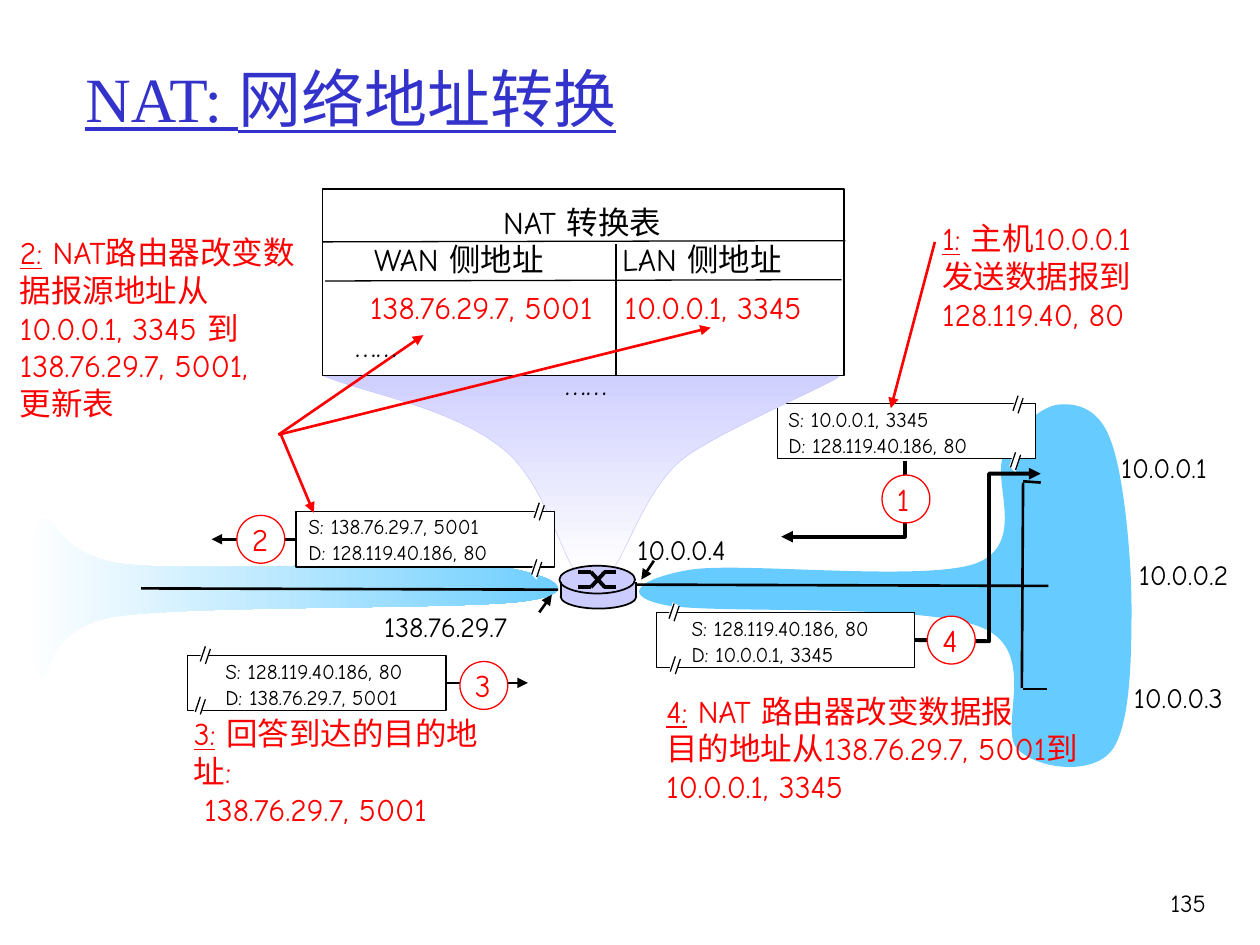
from lxml import etree
from pptx import Presentation
from pptx.dml.color import RGBColor
from pptx.enum.shapes import MSO_CONNECTOR, MSO_SHAPE
from pptx.enum.text import MSO_ANCHOR, PP_ALIGN
from pptx.oxml.ns import qn
from pptx.util import Pt

PX = 9144  # 100 px to the inch
STRAIGHT = MSO_CONNECTOR.STRAIGHT
RECT, OVAL = MSO_SHAPE.RECTANGLE, MSO_SHAPE.OVAL
LEFT, CENTER, RIGHT = PP_ALIGN.LEFT, PP_ALIGN.CENTER, PP_ALIGN.RIGHT
COMIC, TIMES = "Comic Neue", "Times New Roman"
HEX = {"black": "000000", "white": "FFFFFF", "red": "FF0000",
       "title": "3333CC", "sky": "66CCFF", "lilac": "CCCCFF"}
RGB = {name: RGBColor.from_string(value) for name, value in HEX.items()}

prs = Presentation()
prs.slide_width, prs.slide_height = 1000 * PX, 750 * PX
slide = prs.slides.add_slide(prs.slide_layouts[6])
shapes = slide.shapes


def add_line(points, color="black", width=1.5, arrow=False):
    """Draw a connector, or an open outline for more than two points; the arrow is at the end."""
    pts = [(x * PX, y * PX) for x, y in points]
    if len(pts) == 2:
        s = shapes.add_connector(STRAIGHT, *pts[0], *pts[1])
    else:
        builder = shapes.build_freeform(*pts[0])
        builder.add_line_segments(pts[1:], close=False)
        s = builder.convert_to_shape()
        s.fill.background()
    s.line.color.rgb = RGB[color]
    s.line.width = Pt(width)
    sp_pr = s._element.spPr
    if arrow:
        etree.SubElement(sp_pr.find(qn("a:ln")), qn("a:tailEnd"), type="triangle")
    etree.SubElement(sp_pr, qn("a:effectLst"))
    return s


def add_outline(start, segments, colors, angle=0):
    """Fill a closed outline; a segment is a point, or two control points and an end point."""
    builder = shapes.build_freeform(start[0] * PX, start[1] * PX)
    for seg in segments:
        builder.add_line_segments([(x * PX, y * PX) for x, y in zip(seg[::2], seg[1::2])],
                                  close=seg is segments[-1])
    s = builder.convert_to_shape()
    steps = iter(list(s._element.iter(qn("a:lnTo"))))
    for seg in segments:
        first = next(steps)
        if len(seg) == 6:  # three line steps become one curve
            first.tag = qn("a:cubicBezTo")
            for step in (next(steps), next(steps)):
                first.append(step[0])
                step.getparent().remove(step)
    s.shadow.inherit = False
    s.line.fill.background()
    if len(colors) == 1:
        s.fill.solid()
        s.fill.fore_color.rgb = RGB[colors[0]]
    else:
        s.fill.gradient()
        s.fill.gradient_angle = angle
        for stop, color in zip(s.fill.gradient_stops, colors):
            stop.color.rgb = RGB[color]
    return s


# Networks on both sides of the router
add_outline((392, 449), [
    (339, 444, 162, 454, 102, 448), (42, 443, 43, 399, 31, 414),
    (20, 428, 21, 522, 31, 535), (42, 548, 29, 499, 93, 489),
    (158, 480, 368, 484, 417, 477), (467, 470, 436, 455, 392, 449)], ["white", "sky"])
add_outline((549, 452), [
    (591, 446, 734, 462, 775, 447), (816, 431, 786, 381, 797, 360),
    (807, 339, 827, 322, 841, 321), (855, 320, 873, 324, 882, 351),
    (892, 378, 898, 442, 898, 483), (898, 524, 897, 577, 882, 596),
    (867, 615, 825, 611, 808, 595), (791, 579, 826, 517, 779, 498),
    (732, 478, 565, 488, 527, 480), (489, 472, 511, 458, 549, 452)], ["sky"])
for ends in (((501, 464), (832, 465)), ((812, 383), (811, 546)),
             ((812, 382), (826, 383)), ((812, 547), (831, 547))):
    add_line(ends)

# Packets: number, box, breaks in the border, circle, route, side the route leaves from
packets = [
    ("1", (617, 320), [(803, 313), (801, 358)], (700, 377),
     [(718, 366), (718, 426), (620, 426)], None),
    ("4", (521, 486), [(530, 478), (531, 520)], (736, 489),
     [(726, 508), (785, 509), (785, 376), (826, 376)], None),
    ("2", (235, 406), [(423, 398), (421, 443)], (188, 409), [(235, 428), (168, 428)], 1),
    ("3", (149, 520), [(158, 512), (154, 552)], (365, 525), [(354, 542), (419, 542)], 3),
]
for number, (x, y), breaks, (cx, cy), route, side in packets:
    box = shapes.add_shape(RECT, x * PX, y * PX, 205 * PX, 44 * PX)
    for bx, by in breaks:
        add_outline((bx + 4, by), [(bx, by + 12), (bx + 5, by + 17), (bx + 9, by + 3)], ["white"])
        for dx, dy in ((5, 1), (9, 3)):
            add_line([(bx + dx, by + dy), (bx + dx - 4, by + dy + 12)], width=0.75)
    s = add_line(route, width=1.5 if side else 2.25, arrow=True)
    if side:
        s.begin_connect(box, side)
    circle = shapes.add_shape(OVAL, cx * PX, cy * PX, 38 * PX, 38 * PX)
    for s, color in ((box, "black"), (circle, "red")):
        s.shadow.inherit = False
        s.fill.solid()
        s.fill.fore_color.rgb = RGB["white"]
        s.line.color.rgb = RGB[color]
        s.line.width = Pt(0.75)
    if number == "1":  # the funnel lies over this packet and under the others
        funnel = add_outline((256, 298), [
            (256, 298, 617, 287, 665, 298), (679, 297, 571, 341, 541, 365),
            (511, 390, 497, 441, 484, 455), (458, 455),
            (444, 438, 432, 382, 399, 356), (358, 323, 289, 312, 256, 298)],
            ["lilac", "white"], 270)
        funnel.line.color.rgb = RGB["lilac"]
        funnel.line.width = Pt(0.25)

# Translation table frame and router body
for kind, x, y, w, h, fill, width in (
        (RECT, 256, 150, 414, 148, "white", 0.75), (OVAL, 445, 464, 60, 19, "lilac", 1),
        (RECT, 445, 462, 60, 11, "lilac", 0), (OVAL, 444, 449, 60, 22, "lilac", 1)):
    s = shapes.add_shape(kind, x * PX, y * PX, w * PX, h * PX)
    s.shadow.inherit = False
    s.fill.solid()
    s.fill.fore_color.rgb = RGB[fill]
    if width:
        s.line.color.rgb = RGB["black"]
        s.line.width = Pt(width)
    else:
        s.line.fill.background()

for ends in (((256, 192), (671, 191)), ((258, 223), (668, 222)), ((489, 194), (489, 298))):
    add_line(ends, width=0.75)
for x in (445, 505):
    add_line([(x, 462), (x, 474)], width=1)
for y, across in ((454, 466), (466, 454)):
    add_line([(459, y), (469, y)], width=2.25)
    add_line([(469, y), (480, across)], width=2.25)
    add_line([(479, y), (489, y)], width=2.25)
add_line([(112, 467), (443, 468)])

# Pointers
for ends in (((519, 445), (509, 460)), ((428, 486), (438, 472))):
    add_line(ends, arrow=True)
for ends in (((742, 192), (707, 324)), ((223, 345), (249, 407)),
             ((221, 345), (336, 266)), ((221, 345), (564, 260))):
    add_line(ends, "red", arrow=True)

# Texts: box, size, colour, alignment, paragraphs, tab stops
# A pair is an underlined lead and the rest; tabbed rows are left-aligned
texts = [
    ((58, 25, 850, 104), 36, "title", LEFT, [("NAT: 网络地址转换", "")]),
    ((880, 353, 98, 37), 16, "black", LEFT, ["10.0.0.1"]),
    ((894, 438, 101, 37), 16, "black", LEFT, ["10.0.0.2"]),
    ((890, 535, 101, 37), 16, "black", LEFT, ["10.0.0.3"]),
    ((496, 418, 101, 37), 16, "black", LEFT, ["10.0.0.4"]),
    ((295, 479, 142, 37), 16, "black", LEFT, ["138.76.29.7"]),
    ((278, 156, 368, 70), 18, "black", CENTER, ["NAT 转换表", "\tWAN 侧地址\tLAN 侧地址"], 9, 206),
    ((258, 224, 414, 70), 18, "red", CENTER,
     ["\t\t138.76.29.7, 5001\t10.0.0.1, 3345", "\t……", "……"], 14, 26, 228),
    ((616, 318, 193, 50), 12, "black", LEFT, ["S: 10.0.0.1, 3345", "D: 128.119.40.186, 80"]),
    ((539, 484, 193, 50), 12, "black", LEFT, ["S: 128.119.40.186, 80", "D: 10.0.0.1, 3345"]),
    ((235, 403, 194, 50), 12, "black", LEFT, ["S: 138.76.29.7, 5001", "D: 128.119.40.186, 80"]),
    ((169, 518, 194, 50), 12, "black", LEFT, ["S: 128.119.40.186, 80", "D: 138.76.29.7, 5001"]),
    ((738, 169, 191, 100), 18, "red", LEFT,
     [("1:", " 主机10.0.0.1"), "发送数据报到", "128.119.40, 80"]),
    ((6, 180, 249, 160), 18, "red", LEFT,
     [("2:", " NAT路由器改变数据报源地址从10.0.0.1, 3345 到"), "138.76.29.7, 5001,", "更新表"]),
    ((144, 562, 265, 100), 18, "red", LEFT, [("3:", " 回答到达的目的地址:"), " 138.76.29.7, 5001"]),
    ((519, 544, 347, 130), 18, "red", LEFT,
     [("4:", " NAT 路由器改变数据报"), "目的地址从138.76.29.7, 5001到10.0.0.1, 3345"]),
    ((893, 700, 74, 50), 14, "black", RIGHT, ["135"]),
]
for number, _, _, (cx, cy), _, _ in packets:
    texts.append(((cx + 2, cy - 1, 35, 40), 18, "red", LEFT, [number]))
for box, size, color, align, paragraphs, *stops in texts:
    tf = shapes.add_textbox(*(v * PX for v in box)).text_frame
    tf.word_wrap = True
    is_title = color == "title"
    tf.vertical_anchor = MSO_ANCHOR.MIDDLE if is_title else MSO_ANCHOR.TOP
    for i, content in enumerate(paragraphs):
        p = tf.add_paragraph() if i else tf.paragraphs[0]
        lead, rest = ("", content) if isinstance(content, str) else content
        p.alignment = LEFT if "\t" in rest else align
        if "\t" in rest:
            tabs = etree.SubElement(p._p.get_or_add_pPr(), qn("a:tabLst"))
            for stop in stops:
                etree.SubElement(tabs, qn("a:tab"), pos=str(stop * PX), algn="l")
        for text, underline in ((lead, True), (rest, False)):
            if text:
                r = p.add_run()
                r.text = text
                r.font.name = TIMES if is_title else COMIC
                r.font.size = Pt(size)
                r.font.underline = underline
                r.font.color.rgb = RGB["black" if "…" in text else color]

prs.save("out.pptx")
